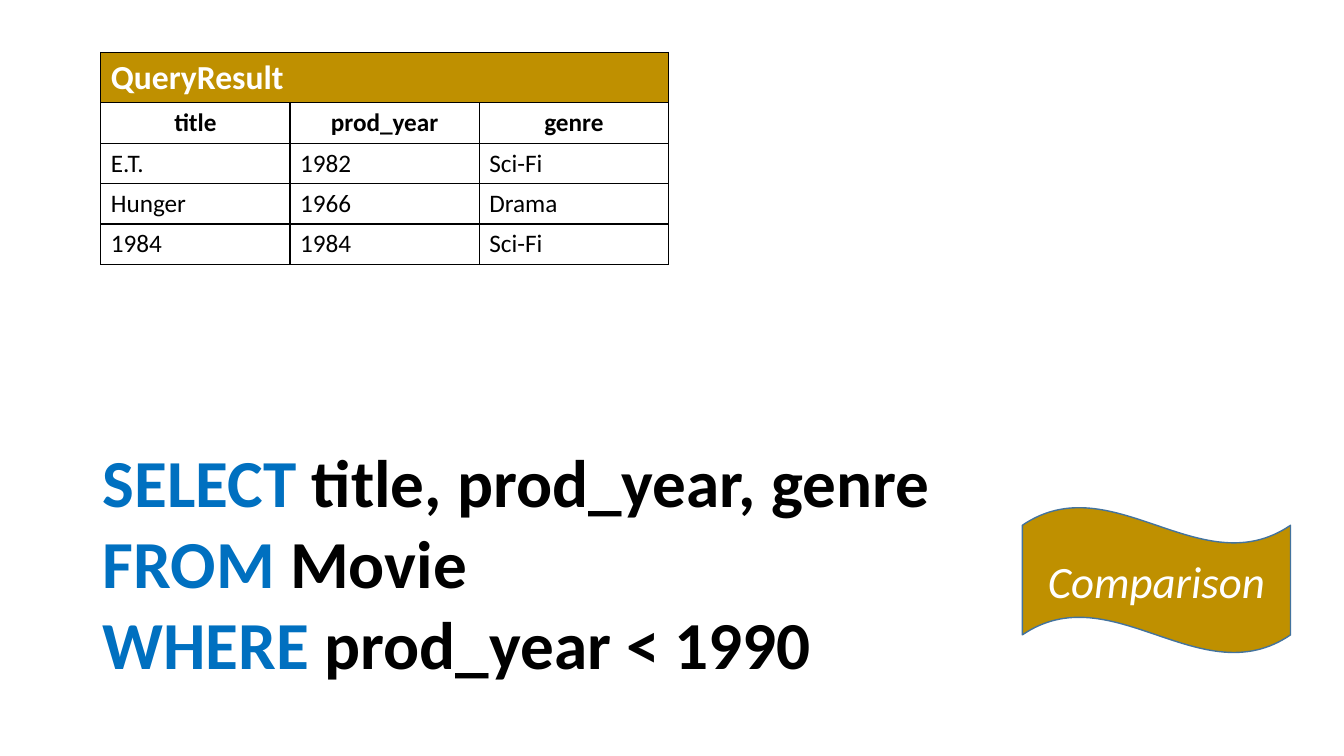
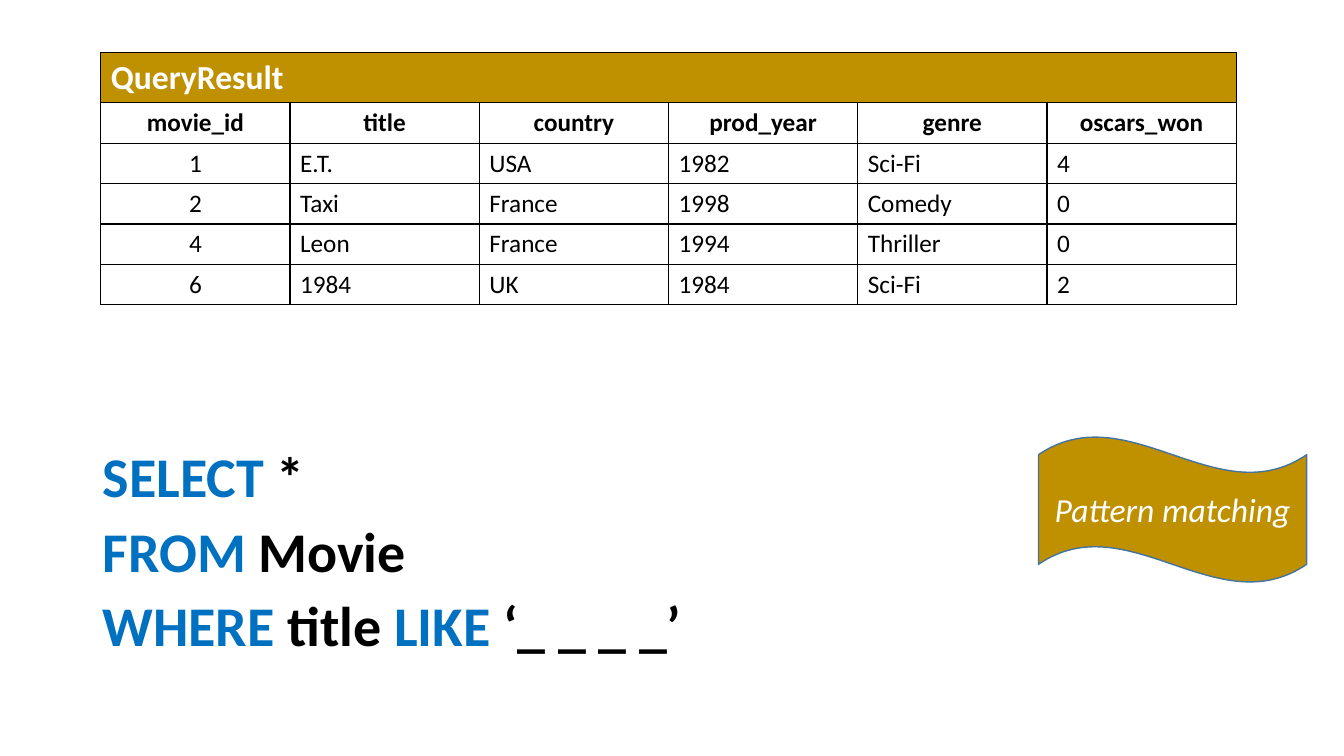
from lxml import etree
from pptx import Presentation
from pptx.dml.color import RGBColor
from pptx.enum.shapes import MSO_SHAPE as Shape
from pptx.enum.text import MSO_ANCHOR as Anchor, PP_ALIGN as Align
from pptx.oxml.ns import qn
from pptx.util import Inches, Pt

# Shared look
FONT = "Calibri"
GOLD = RGBColor(0xBF, 0x90, 0x00)
BLUE = RGBColor(0x00, 0x70, 0xC0)
STEEL = RGBColor(0x43, 0x73, 0x9E)
BLACK = RGBColor(0, 0, 0)
WHITE = RGBColor(0xFF, 0xFF, 0xFF)
KEYWORDS = {"SELECT", "FROM", "WHERE", "LIKE"}
COLUMN_WIDTH = 1.877
CAPTION_HEIGHT, ROW_HEIGHT = 0.5, 0.4


def style(font, size, color, bold=False, italic=False):
    font.name, font.size = FONT, Pt(size)
    font.bold, font.italic = bold, italic
    font.color.rgb = color


def add_borders(cell):
    properties = cell._tc.get_or_add_tcPr()
    for side in ("lnL", "lnR", "lnT", "lnB"):
        line = etree.SubElement(properties, qn(f"a:{side}"), w=str(Pt(1)))
        fill = etree.SubElement(line, qn("a:solidFill"))
        etree.SubElement(fill, qn("a:srgbClr"), val=str(BLACK))


def fill_cell(cell, text, size=18, color=BLACK, bold=False, centred=False):
    cell.text = text
    paragraph = cell.text_frame.paragraphs[0]
    paragraph.alignment = Align.CENTER if centred else Align.LEFT
    for run in paragraph.runs:
        style(run.font, size, color, bold)


def add_result_table(slide, headers, records):
    rows, columns = len(records) + 2, len(headers)
    height = CAPTION_HEIGHT + (rows - 1) * ROW_HEIGHT
    result = slide.shapes.add_table(
        rows, columns, Inches(1), Inches(0.52),
        Inches(columns * COLUMN_WIDTH), Inches(height)).table
    result.first_row = result.horz_banding = False
    for column in result.columns:
        column.width = Inches(COLUMN_WIDTH)
    for index, row in enumerate(result.rows):
        row.height = Inches(ROW_HEIGHT if index else CAPTION_HEIGHT)
        for cell in row.cells:
            add_borders(cell)
            if index:
                cell.fill.background()
            else:
                cell.fill.solid()
                cell.fill.fore_color.rgb = GOLD

    # Caption across the top, then column names, then records
    caption = result.cell(0, 0)
    caption.merge(result.cell(0, columns - 1))
    fill_cell(caption, "QueryResult", 24, WHITE, bold=True)
    for c, header in enumerate(headers):
        fill_cell(result.cell(1, c), header, bold=True, centred=True)
    for r, record in enumerate(records, start=2):
        for c, value in enumerate(record):
            fill_cell(result.cell(r, c), value,
                      centred=headers[c] == "movie_id")


def add_query(slide, lines, size, gap):
    frame = slide.shapes.add_textbox(
        Inches(0.92), Inches(4.41), Inches(11.5), Inches(2.55)).text_frame
    frame.word_wrap = True
    for index, parts in enumerate(lines):
        paragraph = frame.add_paragraph() if index else frame.paragraphs[0]
        paragraph.line_spacing = 0.9
        if index:
            paragraph.space_before = Pt(gap)
        for part in parts:
            run = paragraph.add_run()
            run.text = part
            color = BLUE if part.strip() in KEYWORDS else BLACK
            style(run.font, size, color, bold=True)


def add_topic_flag(slide, topic, left, top, size):
    flag = slide.shapes.add_shape(
        Shape.WAVE, Inches(left), Inches(top), Inches(2.66), Inches(1.45))
    flag.shadow.inherit = False
    flag.fill.solid()
    flag.fill.fore_color.rgb = GOLD
    flag.line.color.rgb = STEEL
    flag.line.width = Pt(1)
    frame = flag.text_frame
    frame.text = topic
    frame.vertical_anchor = Anchor.MIDDLE
    paragraph = frame.paragraphs[0]
    paragraph.alignment = Align.CENTER
    style(paragraph.runs[0].font, size, WHITE, italic=True)


def main():
    deck = Presentation()
    deck.slide_width, deck.slide_height = Inches(13.33), Inches(7.5)
    blank = deck.slide_layouts[6]

    # Comparison
    comparison = deck.slides.add_slide(blank)
    add_query(comparison, [
        ["SELECT", " title, prod_year, genre"],
        ["FROM", " Movie"],
        ["WHERE", " prod_year < 1990"],
    ], size=48, gap=6)
    add_result_table(comparison, ["title", "prod_year", "genre"], [
        ["E.T.", "1982", "Sci-Fi"],
        ["Hunger", "1966", "Drama"],
        ["1984", "1984", "Sci-Fi"],
    ])
    add_topic_flag(comparison, "Comparison", 10.14, 5.03, size=32)

    # Pattern matching
    matching = deck.slides.add_slide(blank)
    add_query(matching, [
        ["SELECT", " *"],
        ["FROM", " Movie"],
        ["WHERE", " title ", "LIKE", " ‘_ _ _ _’"],
    ], size=40, gap=10)
    add_result_table(
        matching,
        ["movie_id", "title", "country", "prod_year", "genre", "oscars_won"],
        [
            ["1", "E.T.", "USA", "1982", "Sci-Fi", "4"],
            ["2", "Taxi", "France", "1998", "Comedy", "0"],
            ["4", "Leon", "France", "1994", "Thriller", "0"],
            ["6", "1984", "UK", "1984", "Sci-Fi", "2"],
        ])
    add_topic_flag(matching, "Pattern matching", 10.3, 4.33, size=24)

    deck.save("out.pptx")


if __name__ == "__main__":
    main()
